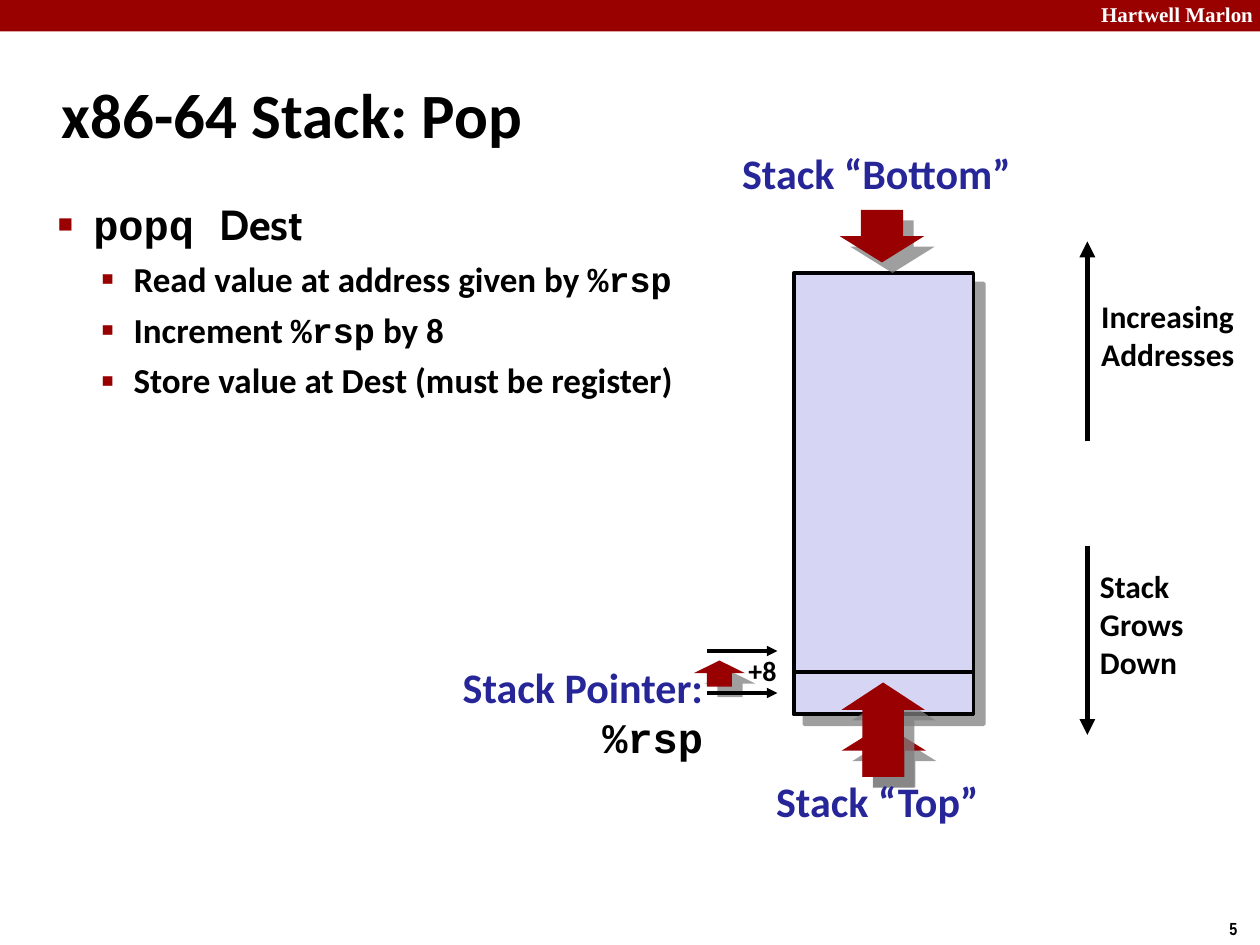
import pptx
import pptx.util
import pptx.dml.color
import pptx.enum.shapes
import pptx.enum.text
import pptx.oxml
import pptx.oxml.ns

COLOURS = {"bar": "990000", "arrow": "980002", "memory": "D6D6F4", "heading": "262699",
           "ink": "000000", "paper": "FFFFFF", "shadow": "808080"}
COLOURS = {part: pptx.dml.color.RGBColor.from_string(value) for part, value in COLOURS.items()}
SANS, MONO = "Calibri", "Courier New"
NS = pptx.oxml.ns.nsdecls("a")
Pt, Inches = pptx.util.Pt, pptx.util.Inches
RECTANGLE = pptx.enum.shapes.MSO_SHAPE.RECTANGLE
LEFT, RIGHT = pptx.enum.text.PP_ALIGN.LEFT, pptx.enum.text.PP_ALIGN.RIGHT

deck = pptx.Presentation()
deck.slide_width, deck.slide_height = Inches(10), Inches(7.5)
col, row = deck.slide_width / 100, deck.slide_height / 90
slide = deck.slides.add_slide(deck.slide_layouts[1])
shapes = slide.shapes


def write(paragraph, runs, size, colour="ink"):
    for text, font in runs:
        run = paragraph.add_run()
        run.text = text
        run.font.name = font
        run.font.size = Pt(size)
        run.font.bold = True
        run.font.color.rgb = COLOURS[colour]


def set_effects(shape, shadowed=False):
    shadow = (f'<a:outerShdw dist="{Pt(8.5)}" dir="2700000" algn="ctr" rotWithShape="0">'
              f'<a:srgbClr val="{COLOURS["shadow"]}"><a:alpha val="75000"/></a:srgbClr>'
              '</a:outerShdw>') if shadowed else ""
    properties = shape._element.spPr
    for old in properties.findall(pptx.oxml.ns.qn("a:effectLst")):
        properties.remove(old)
    properties.append(pptx.oxml.parse_xml(f"<a:effectLst {NS}>{shadow}</a:effectLst>"))


title = shapes.title
title.left, title.top, title.width, title.height = (
    int(3.9 * col), int(5.8 * row), int(83 * col), int(10 * row))
title.text_frame.auto_size = pptx.enum.text.MSO_AUTO_SIZE.NONE
title.text_frame.vertical_anchor = pptx.enum.text.MSO_ANCHOR.MIDDLE
heading = title.text_frame.paragraphs[0]
heading.alignment = LEFT
heading._p.get_or_add_pPr().set("marL", str(Inches(0.13)))
heading._p.get_or_add_pPr().set("indent", str(Inches(-0.13)))
write(heading, [("x86-64 Stack: Pop", SANS)], 36)

body = slide.placeholders[1]
body.left, body.top, body.width, body.height = (
    int(4.2 * col), int(18.4 * row), int(91.7 * col), int(71.2 * row))
frame = body.text_frame
frame.auto_size = pptx.enum.text.MSO_AUTO_SIZE.NONE
frame.margin_left = frame.margin_right = frame.margin_top = frame.margin_bottom = Inches(0.04)
LEVELS = [(24, 6, 0.28, 0.28, "■", 60), (20, 5, 0.6, 0.26, "▪", 110)]
instructions = [
    (0, [("popq ", MONO), ("Dest", "Cabin")]),
    (1, [("Read value at address given by ", SANS), ("%rsp", MONO)]),
    (1, [("Increment ", SANS), ("%rsp", MONO), (" by 8", SANS)]),
    (1, [("Store value at Dest (must be register)", SANS)]),
]
for index, (level, runs) in enumerate(instructions):
    size, before, margin, hang, bullet, percent = LEVELS[level]
    step = frame.add_paragraph() if index else frame.paragraphs[0]
    step.level = level
    step.space_before = Pt(before)
    settings = step._p.get_or_add_pPr()
    settings.set("marL", str(Inches(margin)))
    settings.set("indent", str(-Inches(hang)))
    for xml in (f'<a:buClr {NS}><a:srgbClr val="{COLOURS["bar"]}"/></a:buClr>',
                f'<a:buSzPct {NS} val="{percent * 1000}"/>',
                f'<a:buChar {NS} char="{bullet}"/>'):
        settings.append(pptx.oxml.parse_xml(xml))
    write(step, runs, size)

blocks = [
    (0, 0, 100, 3, "bar", False, False),
    (63, 26, 14.25, 42, "memory", True, True),
    (63, 64, 14.25, 4, "memory", True, False),
]
for x, y, width, height, fill, outlined, shadowed in blocks:
    block = shapes.add_shape(RECTANGLE, int(x * col), int(y * row),
                             int(width * col), int(height * row))
    block.fill.solid()
    block.fill.fore_color.rgb = COLOURS[fill]
    if outlined:
        block.line.color.rgb = COLOURS["ink"]
        block.line.width = Pt(2)
    else:
        block.line.fill.background()
    set_effects(block, shadowed)

block_arrows = [
    (70.15, 69, 71.5, 74, 3.35),
    (70, 25, 22.5, 20, 3.35),
    (57.1, 62.9, 64.1, 65.4, 2),
    (70.1, 65, 67.6, 74, 3.3),
]
for centre, tip, shoulder, tail, half in block_arrows:
    outline = [(-half, shoulder), (-half / 2, shoulder), (-half / 2, tail), (half / 2, tail),
               (half / 2, shoulder), (half, shoulder), (0, tip)]
    points = [(int((centre + dx) * col), int(y * row)) for dx, y in outline]
    builder = shapes.build_freeform(*points[0])
    builder.add_line_segments(points[1:], close=True)
    block_arrow = builder.convert_to_shape()
    block_arrow.fill.solid()
    block_arrow.fill.fore_color.rgb = COLOURS["arrow"]
    block_arrow.line.fill.background()
    set_effects(block_arrow, True)

pointers = [
    (56.1, 66, 61.7, 66, 2),
    (56.1, 62, 61.7, 62, 2),
    (86.3, 52, 86.3, 70, 3),
    (86.3, 42, 86.3, 23, 3),
]
for x1, y1, x2, y2, weight in pointers:
    pointer = shapes.add_connector(pptx.enum.shapes.MSO_CONNECTOR.STRAIGHT,
                                   int(x1 * col), int(y1 * row), int(x2 * col), int(y2 * row))
    pointer.line.color.rgb = COLOURS["ink"]
    pointer.line.width = Pt(weight)
    pointer.line._get_or_add_ln().append(
        pptx.oxml.parse_xml(f'<a:tailEnd {NS} type="triangle"/>'))
    set_effects(pointer)

labels = [
    (86.4, -0.4, 14.3, 3.6, 0.1, 0.05, LEFT, False, 12, "paper",
     [("Hartwell Marlon", "Times New Roman")]),
    (96.6, 86.8, 3.4, 3.2, 0.1, 0.05, LEFT, False, 10, "ink", [("5", "Arial Narrow")]),
    (61.6, 73.9, 17, 5.9, 0, 0, LEFT, False, 24, "heading", [("Stack “Top”", SANS)]),
    (58.9, 14, 22.3, 5.9, 0, 0, LEFT, False, 24, "heading", [("Stack “Bottom”", SANS)]),
    (87.3, 54, 8.9, 12, 0, 0, LEFT, True, 18, "ink", [("Stack Grows", SANS), ("Down", SANS)]),
    (87.4, 28.3, 11.3, 8.3, 0, 0, LEFT, False, 18, "ink",
     [("Increasing", SANS), ("Addresses", SANS)]),
    (59, 61.8, 3.1, 4.2, 0.04, 0.04, LEFT, False, 16, "ink", [("+8", SANS)]),
    (28, 63, 27.8, 9.8, 0, 0, RIGHT, True, 24, "heading", [("Stack Pointer:", SANS)]),
]
for x, y, width, height, side, edge, align, wrap, size, colour, lines in labels:
    label = shapes.add_textbox(int(x * col), int(y * row), int(width * col), int(height * row))
    frame = label.text_frame
    frame.word_wrap = wrap
    frame.margin_left = frame.margin_right = Inches(side)
    frame.margin_top = frame.margin_bottom = Inches(edge)
    for index, line in enumerate(lines):
        paragraph = frame.add_paragraph() if index else frame.paragraphs[0]
        paragraph.alignment = align
        write(paragraph, [line], size, colour)

paragraph.add_line_break()
write(paragraph, [("%rsp", MONO)], 24)

deck.save("out.pptx")
